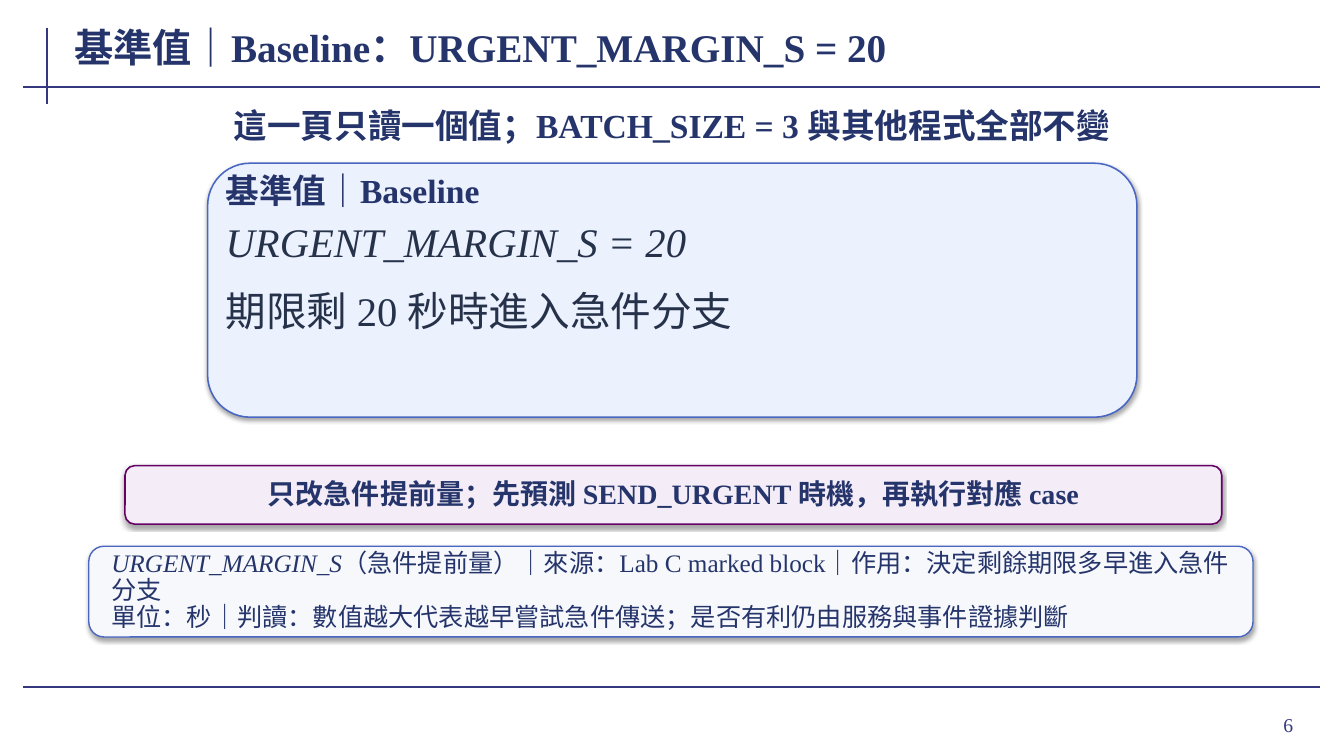
from dataclasses import dataclass

from lxml import etree
from pptx import Presentation
from pptx.dml.color import RGBColor
from pptx.enum import shapes, text
from pptx.oxml import ns
from pptx.util import Pt


@dataclass(frozen=True)
class Theme:
    font: str = "Times New Roman"
    rule: str = "35377F"
    heading: str = "25356B"
    body: str = "25324A"
    blue_line: str = "4967C2"
    blue_fill: str = "ECF1FE"
    purple_line: str = "660066"
    purple_fill: str = "F4EDF7"
    note_fill: str = "F7F8FC"
    title_size: int = 28
    value_size: int = 29
    heading_size: int = 24
    callout_size: int = 20
    note_size: int = 18
    number_size: int = 14


THEME = Theme()
LEFT, CENTER, RIGHT = text.PP_ALIGN.LEFT, text.PP_ALIGN.CENTER, text.PP_ALIGN.RIGHT
TOP, MIDDLE = text.MSO_ANCHOR.TOP, text.MSO_ANCHOR.MIDDLE


def color(value):
    return RGBColor.from_string(value)


def add_effects(shape):
    """Append an empty effect list, which switches off the theme's shadow."""
    return etree.SubElement(shape._element.spPr, ns.qn("a:effectLst"))


def add_soft_shadow(shape):
    shadow = etree.SubElement(add_effects(shape), ns.qn("a:outerShdw"),
                              blurRad=str(Pt(3.1)), dist=str(Pt(1.8)),
                              dir="5400000", algn="ctr", rotWithShape="0")
    black = etree.SubElement(shadow, ns.qn("a:srgbClr"), val="000000")
    etree.SubElement(black, ns.qn("a:alpha"), val="35000")


def write(shape, paragraphs, size, ink=THEME.heading, bold=False, align=LEFT,
          anchor=MIDDLE, insets=(1.44, 0.72), spacing=1.0, gap=0):
    """Fill a shape; each paragraph is a list of (wording, italic) runs."""
    frame = shape.text_frame
    frame.word_wrap = True
    frame.auto_size = text.MSO_AUTO_SIZE.NONE
    frame.vertical_anchor = anchor
    frame.margin_left = frame.margin_right = Pt(insets[0])
    frame.margin_top = frame.margin_bottom = Pt(insets[1])
    for index, runs in enumerate(paragraphs):
        paragraph = frame.add_paragraph() if index else frame.paragraphs[0]
        paragraph.alignment = align
        paragraph.line_spacing = spacing
        paragraph.space_before = Pt(gap if index else 0)
        font = paragraph.font
        font.name, font.size, font.bold = THEME.font, Pt(size), bold
        font.color.rgb = color(ink)
        italics = {italic for _, italic in runs}
        if len(italics) == 1:
            font.italic = italics.pop()
        for wording, italic in runs:
            run = paragraph.add_run()
            run.text = wording
            if italics:
                run.font.italic = italic


def add_rule(slide, x1, y1, x2, y2):
    rule = slide.shapes.add_connector(shapes.MSO_CONNECTOR.STRAIGHT,
                                      Pt(x1), Pt(y1), Pt(x2), Pt(y2))
    rule.line.color.rgb = color(THEME.rule)
    rule.line.width = Pt(1.5)
    add_effects(rule)


def add_label(slide, box, paragraphs, size, **style):
    label = slide.shapes.add_textbox(*map(Pt, box))
    write(label, paragraphs, size, **style)


def add_card(slide, box, fill, line, width=1.1):
    card = slide.shapes.add_shape(shapes.MSO_SHAPE.ROUNDED_RECTANGLE, *map(Pt, box))
    card.fill.solid()
    card.fill.fore_color.rgb = color(fill)
    card.line.color.rgb = color(line)
    card.line.width = Pt(width)
    add_soft_shadow(card)
    return card


def set_title(slide, wording):
    title = slide.shapes.title
    title.left, title.top, title.width, title.height = map(Pt, (51.8, 14.4, 745.2, 38.2))
    write(title, [[(wording, False)]], THEME.title_size, bold=True, insets=(1.44, 0))


def main():
    presentation = Presentation()
    presentation.slide_width, presentation.slide_height = Pt(960), Pt(540)
    slide = presentation.slides.add_slide(presentation.slide_layouts[5])

    add_rule(slide, 33.8, 20.2, 33.8, 74.2)
    for y in (61.9, 491):
        add_rule(slide, 16.6, y, 943.2, y)
    add_label(slide, (861.1, 499, 69.8, 37.4), [[("6", False)]], THEME.number_size,
              ink=THEME.rule, align=RIGHT, insets=(7.2, 3.6))

    set_title(slide, "基準值｜Baseline：URGENT_MARGIN_S = 20")
    add_label(slide, (67.7, 70.6, 824.4, 37.4),
              [[("這一頁只讀一個值；BATCH_SIZE = 3 與其他程式全部不變", False)]],
              THEME.heading_size, bold=True, align=CENTER)

    add_card(slide, (148.3, 116.6, 663.8, 181.4), THEME.blue_fill, THEME.blue_line)
    add_label(slide, (159.8, 123.8, 640.8, 33.1), [[("基準值｜Baseline", False)]],
              THEME.heading_size, bold=True, anchor=TOP, spacing=0.9)
    add_label(slide, (159.8, 158.4, 640.8, 133.9),
              [[("URGENT_MARGIN_S = 20", True)], [("期限剩 20 秒時進入急件分支", False)]],
              THEME.value_size, ink=THEME.body, anchor=TOP, spacing=0.9, gap=18)

    callout = add_card(slide, (89.3, 332.6, 783.4, 41.8),
                       THEME.purple_fill, THEME.purple_line)
    write(callout, [[("只改急件提前量；先預測 SEND_URGENT 時機，再執行對應 case", False)]],
          THEME.callout_size, bold=True, align=CENTER, insets=(8.64, 2.88), spacing=0.95)

    note = add_card(slide, (63.4, 390.2, 831.6, 64.8), THEME.note_fill, THEME.blue_line, 1)
    write(note,
          [[("URGENT_MARGIN_S", True),
            ("（急件提前量）｜來源：Lab C marked block｜作用：決定剩餘期限多早進入急件分支", False)],
           [("單位：秒｜判讀：數值越大代表越早嘗試急件傳送；是否有利仍由服務與事件證據判斷", False)]],
          THEME.note_size, insets=(12.96, 2.16), spacing=0.9)

    presentation.save("out.pptx")


if __name__ == "__main__":
    main()
